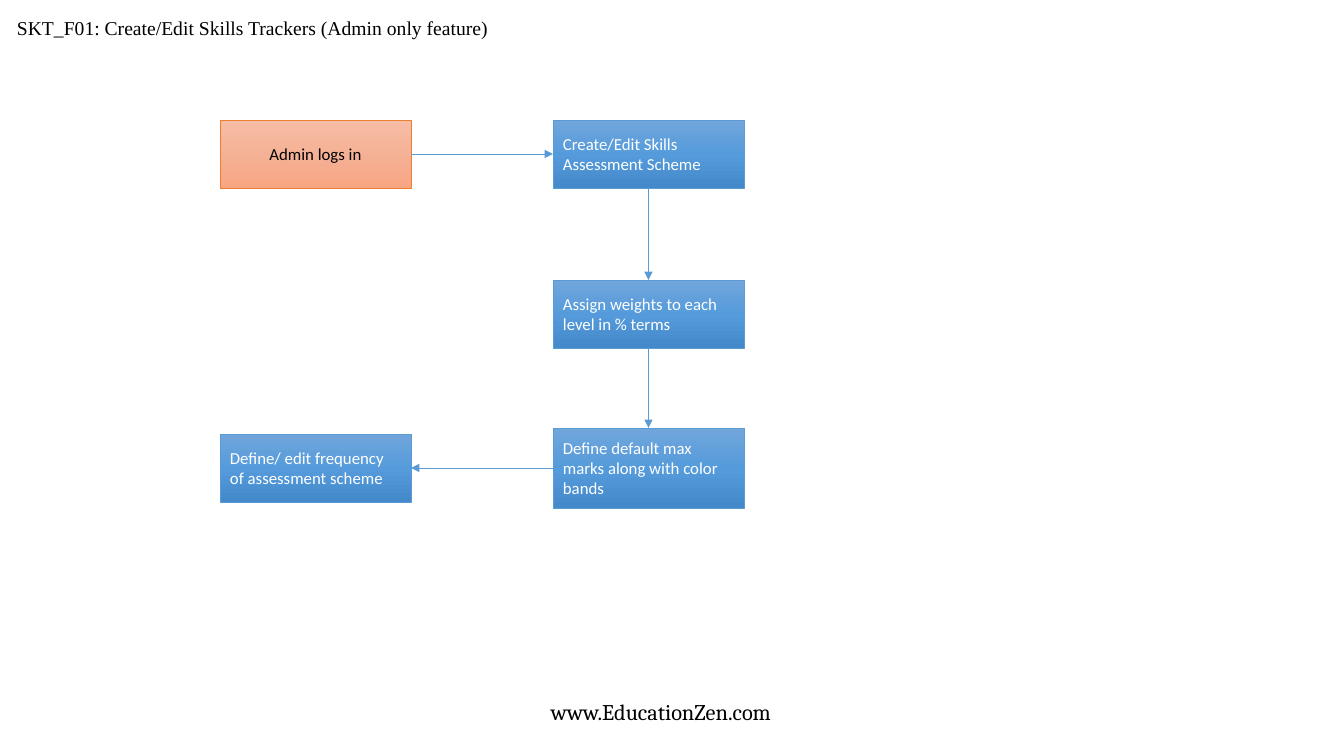
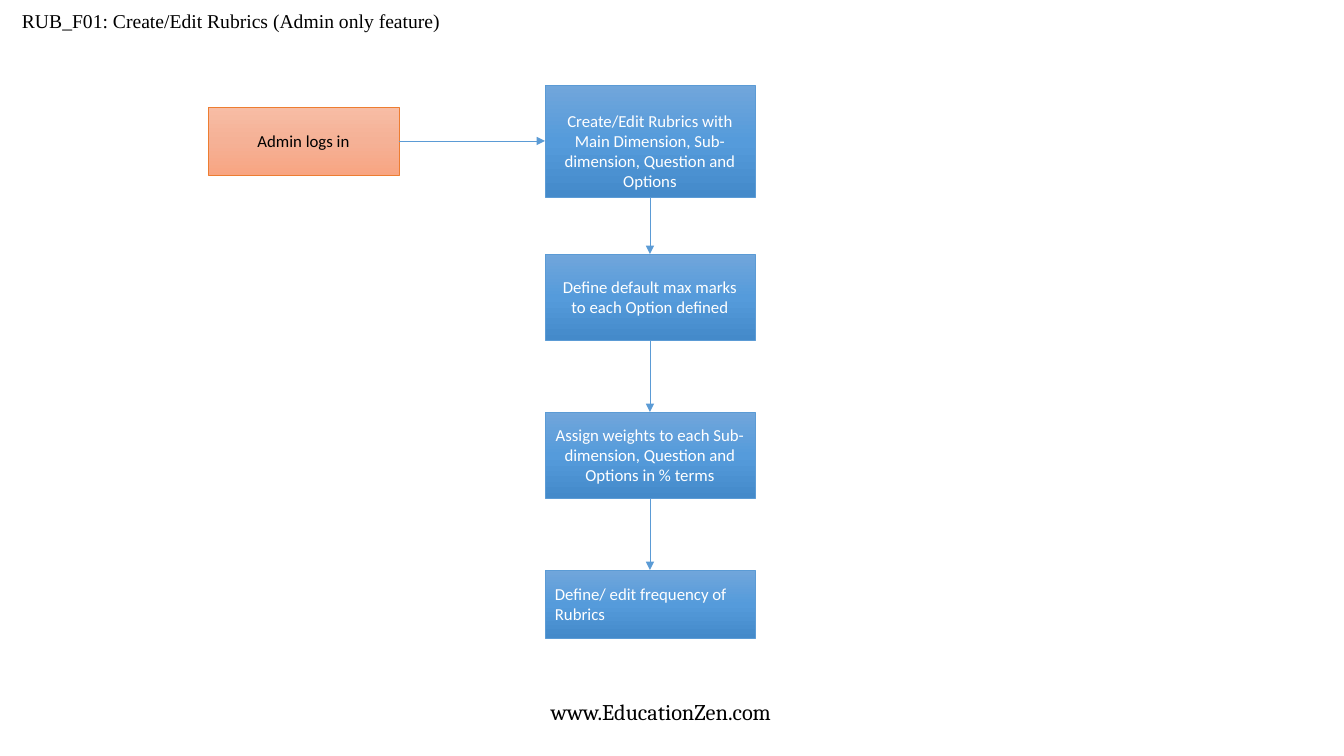
from pptx import Presentation
from pptx.dml.color import RGBColor
from pptx.enum.shapes import MSO_CONNECTOR, MSO_SHAPE
from pptx.enum.text import MSO_ANCHOR, PP_ALIGN
from pptx.oxml import parse_xml
from pptx.oxml.ns import nsdecls
from pptx.util import Emu, Pt

PROCESS = MSO_SHAPE.FLOWCHART_PROCESS
STRAIGHT = MSO_CONNECTOR.STRAIGHT
MIDDLE = MSO_ANCHOR.MIDDLE
LEFT, CENTER, RIGHT = PP_ALIGN.LEFT, PP_ALIGN.CENTER, PP_ALIGN.RIGHT
TOP_SIDE, LEFT_SIDE, BOTTOM_SIDE, RIGHT_SIDE = range(4)

EMU_PER_PX = 914400 / 100.8
BLACK, WHITE, BLUE, ORANGE = "000000", "FFFFFF", "5B9BD5", "ED7D31"
STYLES = {
    "start": {"stops": ("F7BDA5", "F5B196", "F8A582"), "line": ORANGE, "text": BLACK},
    "step": {"stops": ("71A6DB", "559BDB", "448ACA"), "line": BLUE, "text": WHITE},
}
FOOTER = "www.EducationZen.com"
FOOTER_AREA = (479, 693, 302, 37)

# Boxes: name, style, (left, top, width, height), alignment, top inset, text
# Arrows: from box, side, to box, side
DIAGRAMS = [
    {
        "title": "SKT_F01: Create/Edit Skills Trackers (Admin only feature)",
        "title_area": (7, 7, 930, 35),
        "boxes": [
            ("login", "start", (220, 120, 191, 68), CENTER, 5, "Admin logs in"),
            ("scheme", "step", (553, 120, 191, 68), LEFT, 5,
             "Create/Edit Skills Assessment Scheme"),
            ("weights", "step", (553, 280, 191, 68), LEFT, 5,
             "Assign weights to each level in % terms"),
            ("marks", "step", (553, 428, 191, 80), LEFT, 5,
             "Define default max marks along with color bands"),
            ("frequency", "step", (220, 434, 191, 68), LEFT, 5,
             "Define/ edit frequency of assessment scheme"),
        ],
        "arrows": [
            ("login", RIGHT_SIDE, "scheme", LEFT_SIDE),
            ("scheme", BOTTOM_SIDE, "weights", TOP_SIDE),
            ("weights", BOTTOM_SIDE, "marks", TOP_SIDE),
            ("marks", LEFT_SIDE, "frequency", RIGHT_SIDE),
        ],
    },
    {
        "title": "RUB_F01: Create/Edit Rubrics (Admin only feature)",
        "title_area": (12, 0, 498, 35),
        "boxes": [
            ("login", "start", (208, 107, 191, 68), CENTER, 5, "Admin logs in"),
            ("rubrics", "step", (545, 85, 210, 112), CENTER, 25,
             "Create/Edit Rubrics with Main Dimension, Sub-dimension, "
             "Question and Options"),
            ("marks", "step", (545, 254, 210, 86), CENTER, 5,
             "Define default max marks to each Option defined"),
            ("weights", "step", (545, 412, 210, 86), CENTER, 5,
             "Assign weights to each Sub-dimension, Question and Options in % terms"),
            ("frequency", "step", (545, 570, 210, 68), LEFT, 5,
             "Define/ edit frequency of Rubrics"),
        ],
        "arrows": [
            ("login", RIGHT_SIDE, "rubrics", LEFT_SIDE),
            ("rubrics", BOTTOM_SIDE, "marks", TOP_SIDE),
            ("marks", BOTTOM_SIDE, "weights", TOP_SIDE),
            ("weights", BOTTOM_SIDE, "frequency", TOP_SIDE),
        ],
    },
]


def px(length):
    return Emu(round(length * EMU_PER_PX))


def color(value):
    return RGBColor.from_string(value)


def write(shape, text, font, size, text_color, align):
    """Put one styled paragraph into a shape."""
    shape.text_frame.word_wrap = True
    para = shape.text_frame.paragraphs[0]
    para.alignment = align
    span = para.add_run()
    span.text = text
    span.font.name = font
    span.font.size = Pt(size)
    span.font.color.rgb = color(text_color)
    return para


def add_label(page, area, *text_style):
    box = page.shapes.add_textbox(*map(px, area))
    return write(box, *text_style)


def fill_gradient(shape, stops):
    """Fill from top to bottom with evenly spaced stops."""
    step = 100000 // (len(stops) - 1)
    marks = "".join(
        f'<a:gs pos="{i * step}"><a:srgbClr val="{stop}"/></a:gs>'
        for i, stop in enumerate(stops))
    gradient = parse_xml(
        f'<a:gradFill {nsdecls("a")} rotWithShape="1"><a:gsLst>{marks}</a:gsLst>'
        '<a:lin ang="5400000" scaled="0"/></a:gradFill>')
    shape.element.spPr.find("{*}prstGeom").addnext(gradient)


def add_box(page, style, area, align, inset, text):
    box = page.shapes.add_shape(PROCESS, *map(px, area))
    box.shadow.inherit = False
    fill_gradient(box, style["stops"])
    box.line.color.rgb = color(style["line"])
    box.line.width = Pt(0.5)
    box.text_frame.vertical_anchor = MIDDLE
    box.text_frame.margin_top = px(inset)
    write(box, text, "Calibri", 12, style["text"], align)
    return box


def add_arrow(page, source, source_side, target, target_side):
    arrow = page.shapes.add_connector(STRAIGHT, 0, 0, 0, 0)
    arrow.begin_connect(source, source_side)
    arrow.end_connect(target, target_side)
    arrow.line.color.rgb = color(BLUE)
    arrow.line.width = Pt(0.5)
    properties = arrow.element.spPr
    properties.find("{*}ln").append(
        parse_xml(f'<a:tailEnd {nsdecls("a")} type="triangle"/>'))
    properties.append(parse_xml(f'<a:effectLst {nsdecls("a")}/>'))


def add_diagram(deck, diagram):
    page = deck.slides.add_slide(deck.slide_layouts[6])
    add_label(page, FOOTER_AREA, FOOTER, "Cambria", 16, BLACK, RIGHT)
    title = add_label(page, diagram["title_area"], diagram["title"],
                      "Times New Roman", 14, BLACK, LEFT)
    title.line_spacing = 1.15
    boxes = {name: add_box(page, STYLES[style], *rest)
             for name, style, *rest in diagram["boxes"]}
    for source, source_side, target, target_side in diagram["arrows"]:
        add_arrow(page, boxes[source], source_side, boxes[target], target_side)


def main():
    deck = Presentation()
    deck.slide_width, deck.slide_height = px(1344), px(756)
    for diagram in DIAGRAMS:
        add_diagram(deck, diagram)
    deck.save("out.pptx")


if __name__ == "__main__":
    main()
